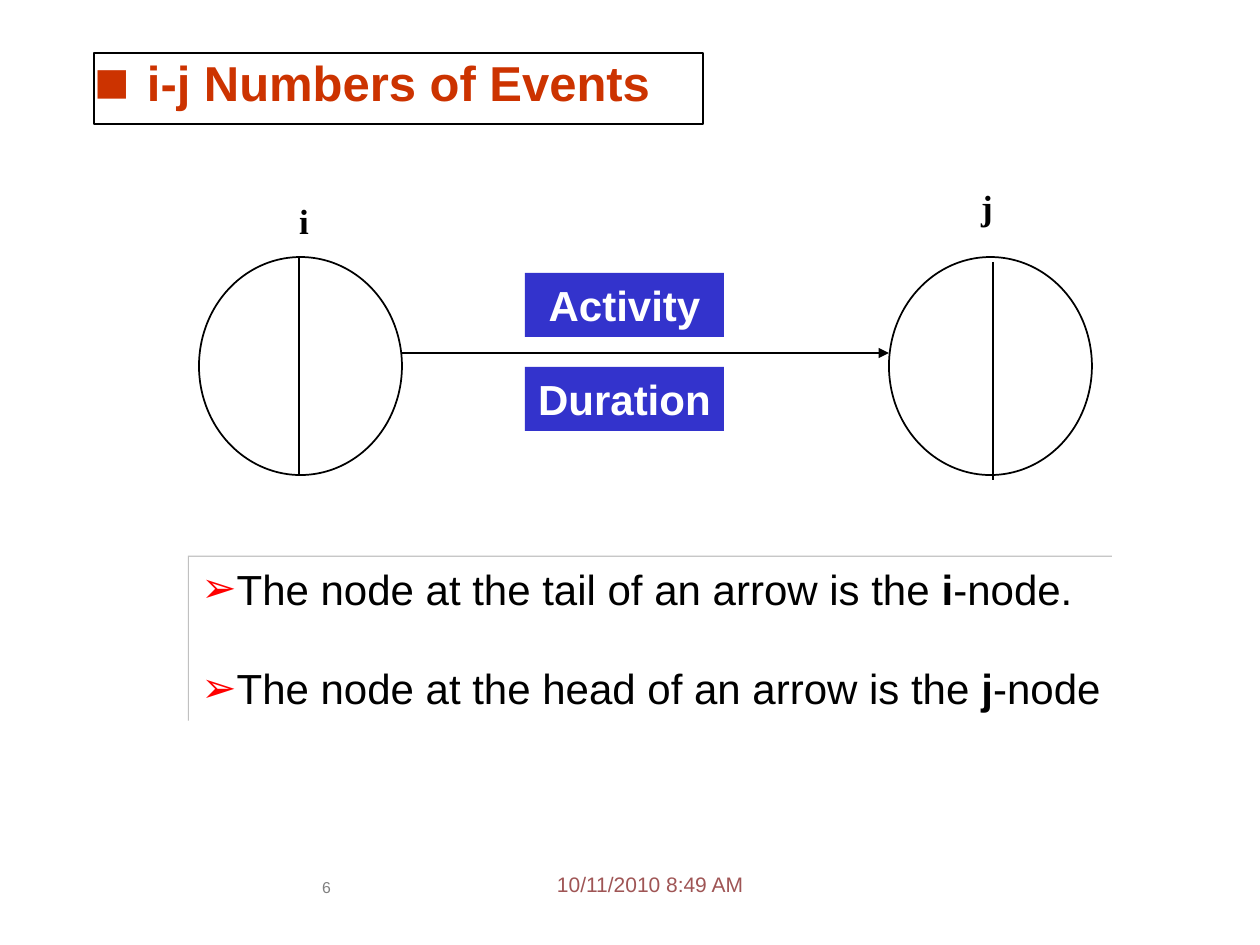
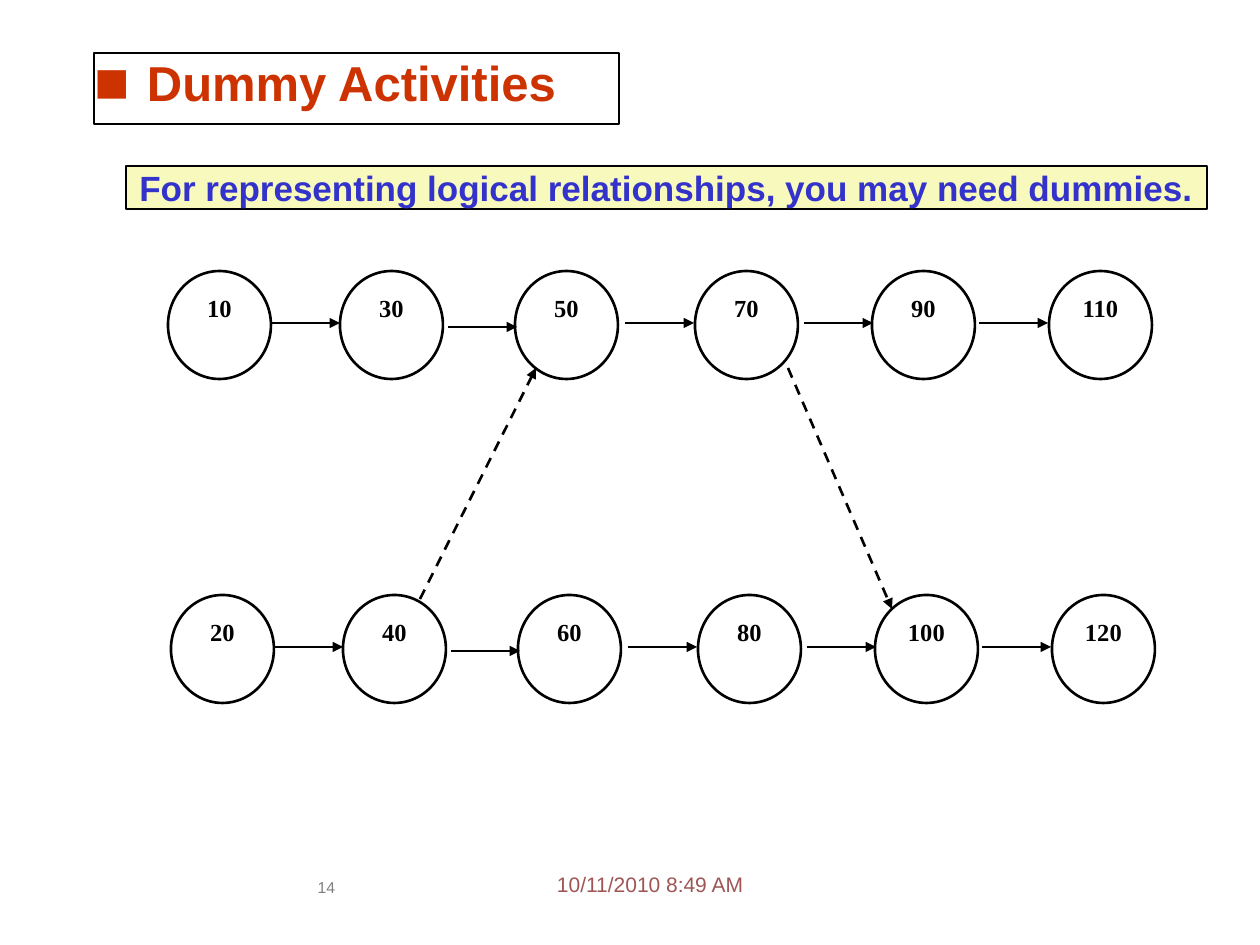
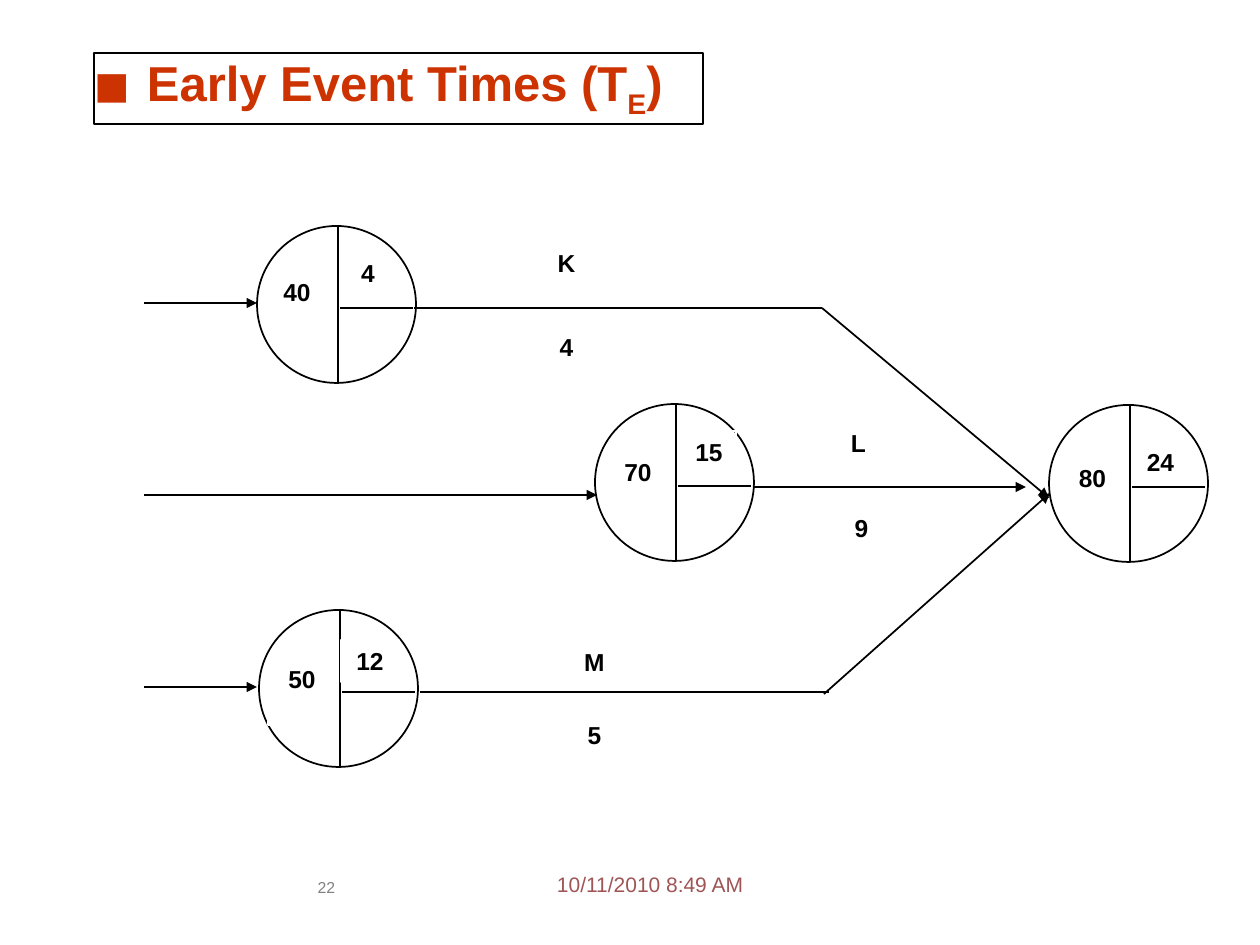
from dataclasses import dataclass
from lxml import etree
from pptx import Presentation
from pptx import util as u
from pptx.dml.color import RGBColor
from pptx.enum import dml, shapes, text
from pptx.oxml.ns import qn

PX = 914400 / 126


@dataclass(frozen=True)
class Theme:
    sans: str = "Arial"
    serif: str = "Times New Roman"
    black: str = "000000"
    white: str = "FFFFFF"
    title: str = "CC3300"
    blue: str = "3333CC"
    cream: str = "F8F9BD"
    red: str = "FF0000"
    date: str = "9F5555"
    gray: str = "808080"
    shade: str = "C0C0C0"
    head: int = 28
    body: int = 24
    lead: int = 20
    node: int = 14
    stamp: int = 12
    page: int = 9


T = Theme()
OVAL = shapes.MSO_SHAPE.OVAL
RECT = shapes.MSO_SHAPE.RECTANGLE
MID = text.MSO_ANCHOR.MIDDLE


def put(page, box, lines, kind=RECT, fill=None, edge=None, wide=1, size=T.node,
        font=T.sans, color=T.black, bold=True, left=False, pad=True,
        anchor=text.MSO_ANCHOR.TOP, mark=None, tint=None, grow=100, hang=0,
        gap=0, alt="bold"):
    """Add a shape with text; each line lists its runs, every second one in the alt format."""
    item = page.shapes.add_shape(kind, *[u.Emu(round(n * PX)) for n in box])
    item.shadow.inherit = False
    if fill:
        item.fill.solid()
        item.fill.fore_color.rgb = RGBColor.from_string(fill)
    else:
        item.fill.background()
    if edge:
        item.line.color.rgb = RGBColor.from_string(edge)
        item.line.width = u.Pt(wide)
    else:
        item.line.fill.background()
    frame = item.text_frame
    frame.word_wrap = left
    frame.vertical_anchor = anchor
    frame.margin_left = u.Inches(0.1 if pad else 0)
    frame.margin_right = 0 if left else frame.margin_left
    frame.margin_top = frame.margin_bottom = u.Inches(0.05 if pad else 0)
    for i, runs in enumerate(lines):
        para = frame.add_paragraph() if i else frame.paragraphs[0]
        if mark:
            props = para._p.get_or_add_pPr()
            props.set("marL", str(round(hang * PX)))
            props.set("indent", str(round(-hang * PX)))
            shade = etree.SubElement(props, qn("a:buClr"))
            etree.SubElement(shade, qn("a:srgbClr"), val=tint)
            etree.SubElement(props, qn("a:buSzPct"), val=str(grow * 1000))
            etree.SubElement(props, qn("a:buFont"), typeface=T.sans)
            etree.SubElement(props, qn("a:buChar"), char=mark)
        para.alignment = text.PP_ALIGN.LEFT if left else text.PP_ALIGN.CENTER
        if i:
            para.space_before = u.Pt(gap)
        for j, words in enumerate(runs):
            run = para.add_run()
            run.text = words
            run.font.name, run.font.size = font, u.Pt(size)
            run.font.bold = bold or (j % 2 == 1 and alt == "bold")
            run.font.color.rgb = RGBColor.from_string(color)
            if j % 2 and alt == "sub":
                run.font._element.set("baseline", "-25000")
    return item


def link(page, ends, wide=1, arrow=False, dash=False):
    line = page.shapes.add_connector(
        shapes.MSO_CONNECTOR.STRAIGHT, *[u.Emu(round(n * PX)) for n in ends])
    line.line.color.rgb = RGBColor.from_string(T.black)
    line.line.width = u.Pt(wide)
    if dash:
        line.line.dash_style = dml.MSO_LINE.DASH
    if arrow:
        etree.SubElement(line.line._get_or_add_ln(), qn("a:tailEnd"), type="triangle")
    etree.SubElement(line._element.spPr, qn("a:effectLst"))


deck = Presentation()
deck.slide_width, deck.slide_height = u.Inches(10), u.Inches(7.5)
pages = []
for num, wide, title in (
    ("6", 609, ["i-j Numbers of Events"]),
    ("14", 525, ["Dummy Activities"]),
    ("22", 609, ["Early Event Times (T", "E", ")"]),
):
    page = deck.slides.add_slide(deck.slide_layouts[6])
    put(page, (557, 872, 210, 32), [["10/11/2010 8:49 AM"]], size=T.stamp,
        color=T.date, bold=False, left=True, pad=False)
    put(page, (302, 878, 49, 43), [[num]], size=T.page, color=T.gray,
        bold=False, pad=False)
    put(page, (94, 53, wide, 71), [title], fill=T.white, edge=T.black, wide=0.75,
        size=T.head, color=T.title, left=True, pad=False, mark="■",
        tint=T.title, grow=120, hang=53, alt="sub")
    pages.append(page)
events, dummies, early = pages

# Events i and j
note = put(events, (189, 557, 924, 165),
           [["The node at the tail of an arrow is the ", "i", "-node."],
            ["The node at the head of an arrow is the ", "j", "-node"]],
           fill=T.white, size=T.body, bold=False, left=True, mark="➢",
           tint=T.red, gap=28)
glow = etree.SubElement(note._element.spPr.find(qn("a:effectLst")),
                        qn("a:outerShdw"), dist="12700", dir="13500000")
etree.SubElement(glow, qn("a:srgbClr"), val=T.shade)
link(events, (402, 353, 889, 353), arrow=True)
for x, cut, top in ((199, 299, 257), (889, 993, 262)):
    put(events, (x, 257, 203, 218), [], kind=OVAL, fill=T.white, edge=T.black)
    link(events, (cut, top, cut, top + 218), wide=0.75)
for name, box in (("i", (261, 193, 86, 59)), ("j", (945, 179, 84, 73))):
    put(events, box, [[name]], size=T.lead, font=T.serif)
for name, y in (("Activity", 273), ("Duration", 367)):
    put(events, (525, y, 199, 64), [[name]], fill=T.blue, size=T.body,
        color=T.white, anchor=MID)

# Two chains joined by dummies
for first, dx, y in ((10, 0, 271), (20, 3, 595)):
    for i, x in enumerate((168, 340, 515, 695, 872, 1049)):
        put(dummies, (x + dx, y, 103, 108), [[str(first + 20 * i)]], kind=OVAL,
            fill=T.white, edge=T.black, wide=1.5, font=T.serif)
    for x, dy in ((271, 52), (448, 56), (625, 52), (804, 52), (979, 52)):
        link(dummies, (x + dx, y + dy, x + dx + 69, y + dy), wide=1.5, arrow=True)
for ends in ((420, 599, 536, 368), (788, 368, 892, 609)):
    link(dummies, ends, wide=1.5, arrow=True, dash=True)
put(dummies, (126, 166, 1081, 43),
    [["For representing logical relationships, you may need dummies."]],
    fill=T.cream, edge=T.black, wide=0.75, size=T.lead, color=T.blue,
    pad=False, anchor=MID)

# Early event times
for x, y in ((259, 610), (257, 226), (595, 404), (1049, 405)):
    put(early, (x, y, 159, 157), [], kind=OVAL, fill=T.white, edge=T.black)
    link(early, (x + 81, y, x + 81, y + 157))
    link(early, (x + 83, y + 82, x + 156, y + 82))
for ends in ((144, 303, 257, 303), (144, 687, 257, 687), (144, 495, 597, 495),
             (754, 487, 1026, 487), (822, 308, 1049, 498), (824, 694, 1050, 493)):
    link(early, ends, arrow=True)
for ends in ((414, 308, 822, 308), (420, 692, 829, 692)):
    link(early, ends)
for name, box in (
    ("4", (525, 326, 83, 42)), ("5", (549, 714, 91, 42)), ("9", (816, 507, 91, 50)),
    ("K", (525, 242, 83, 42)), ("L", (813, 422, 91, 50)), ("M", (549, 641, 91, 42)),
):
    put(early, box, [[name]], fill=T.white, edge=T.white)
for name, box in (
    ("12", (341, 640, 58, 42)), ("40", (268, 271, 58, 55)), ("80", (1061, 457, 63, 57)),
    ("50", (268, 658, 68, 67)), ("15", (683, 431, 53, 53)), ("70", (609, 451, 58, 63)),
    ("24", (1134, 441, 53, 42)),
):
    put(early, box, [[name]], edge=T.white, left=name == "15")
put(early, (347, 252, 42, 42), [["4"]], fill=T.white)

deck.save("out.pptx")
